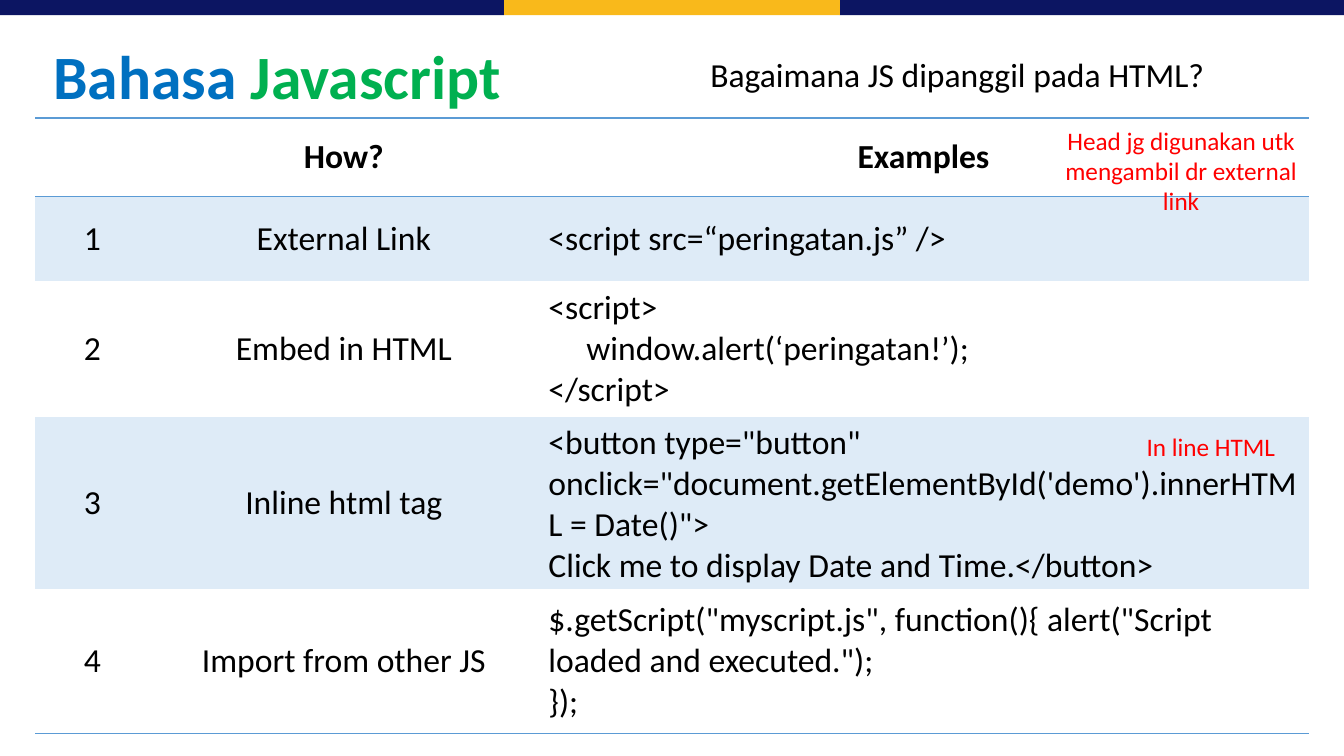
from lxml import etree
from pptx import Presentation
from pptx.dml.color import RGBColor
from pptx.enum.shapes import MSO_SHAPE
from pptx.enum.text import MSO_ANCHOR, MSO_AUTO_SIZE, PP_ALIGN
from pptx.oxml.ns import qn
from pptx.util import Inches, Pt

RECTANGLE = MSO_SHAPE.RECTANGLE
LEFT, CENTER = PP_ALIGN.LEFT, PP_ALIGN.CENTER
MIDDLE = MSO_ANCHOR.MIDDLE
GROW = MSO_AUTO_SIZE.SHAPE_TO_FIT_TEXT

WIDTH, HEIGHT = 13.33, 7.5
FONT = "Calibri"
NAVY, GOLD, BLACK, RED = "0C1562", "F9B91B", "000000", "FF0000"
BLUE, GREEN, RULE, BAND = "0070C0", "00B050", "5B9BD5", "DEEBF7"
NO_STYLE = "{2D5ABB26-0587-4C30-8999-92F81FD0307C}"

COLUMNS = [1.13, 3.86, 7.64]
ROWS = [0.78, 0.84, 1.35, 1.7, 1.44]
METHODS = [
    ("", "How?", "Examples"),
    ("1", "External Link", "<script src=“peringatan.js” />"),
    ("2", "Embed in HTML",
     "<script>\n     window.alert(‘peringatan!’);\n</script>"),
    ("3", "Inline html tag",
     "<button type=\"button\"\n"
     "onclick=\"document.getElementById('demo').innerHTML = Date()\">\n"
     "Click me to display Date and Time.</button>"),
    ("4", "Import from other JS",
     "$.getScript(\"myscript.js\", function(){ alert(\"Script loaded and executed.\");\n});"),
]


def color(value):
    return RGBColor.from_string(value)


def write(frame, text, size=24, fill=BLACK, bold=False, align=LEFT):
    """Write each line as a paragraph; text may be a list of (words, colour)."""
    lines = [[(line, fill)] for line in text.split("\n")] if isinstance(text, str) else [text]
    for index, spans in enumerate(lines):
        para = frame.add_paragraph() if index else frame.paragraphs[0]
        para.alignment = align
        para.font.size = Pt(size)
        for words, shade in spans:
            span = para.add_run()
            span.text = words
            span.font.name = FONT
            span.font.size = Pt(size)
            span.font.bold = bold
            span.font.color.rgb = color(shade)


def add_text(page, box, text, wrap=True, **style):
    frame = page.shapes.add_textbox(*map(Inches, box)).text_frame
    frame.word_wrap = wrap
    frame.auto_size = GROW
    write(frame, text, **style)


def add_top_band(page, left, top, width, height):
    shares = [(0, 3 / 8, NAVY), (5 / 8, 3 / 8, NAVY), (3 / 8, 1 / 4, GOLD)]
    for start, share, fill in shares:
        box = (left + start * width, top, share * width, height)
        bar = page.shapes.add_shape(RECTANGLE, *map(Inches, box))
        bar.shadow.inherit = False
        bar.fill.solid()
        bar.fill.fore_color.rgb = color(fill)
        bar.line.fill.background()


def add_border(cell, side):
    """Rule one side of a cell; call before the cell gets its fill."""
    border = etree.SubElement(cell._tc.get_or_add_tcPr(), qn(f"a:ln{side}"), w=str(Pt(1)))
    solid = etree.SubElement(border, qn("a:solidFill"))
    etree.SubElement(solid, qn("a:srgbClr"), val=RULE)


def add_methods_table(page, left, top):
    box = (left, top, sum(COLUMNS), sum(ROWS))
    table = page.shapes.add_table(len(ROWS), len(COLUMNS), *map(Inches, box)).table
    table._tbl.tblPr.find(qn("a:tableStyleId")).text = NO_STYLE
    table.horz_banding = False
    for column, width in zip(table.columns, COLUMNS):
        column.width = Inches(width)
    for row, height in zip(table.rows, ROWS):
        row.height = Inches(height)
    for row, texts in enumerate(METHODS):
        header = row == 0
        sides = "TB" if header else "B" if row == len(ROWS) - 1 else ""
        for column, text in enumerate(texts):
            cell = table.cell(row, column)
            cell.vertical_anchor = MIDDLE
            example = column == 2 and not header
            write(cell.text_frame, text, bold=header, align=LEFT if example else CENTER)
            for side in sides:
                add_border(cell, side)
            if row % 2:
                cell.fill.solid()
                cell.fill.fore_color.rgb = color(BAND)
            else:
                cell.fill.background()


def add_heading(page, left, top):
    add_text(page, (left, top, 4.87, 0.84), [("Bahasa ", BLUE), ("Javascript", GREEN)],
             wrap=False, size=44, bold=True)
    add_text(page, (left + 5.48, top + 0.16, 7.17, 0.5),
             "Bagaimana JS dipanggil pada HTML?", align=CENTER)


def add_notes_on_table(page, left, top):
    notes = [
        ((left + 10.77, top + 3.06, 1.78, 0.4), "In line HTML"),
        ((left + 10, top + 0.02, 2.73, 1.01),
         "Head jg digunakan utk mengambil dr external link"),
    ]
    for box, text in notes:
        add_text(page, box, text, size=18, fill=RED, align=CENTER)


def main():
    deck = Presentation()
    deck.slide_width, deck.slide_height = Inches(WIDTH), Inches(HEIGHT)
    page = deck.slides.add_slide(deck.slide_layouts[6])
    add_top_band(page, 0, 0, WIDTH, HEIGHT / 50)
    add_heading(page, 0.43, 0.33)
    add_methods_table(page, 0.35, 1.17)
    add_notes_on_table(page, 0.35, 1.17)
    deck.save("out.pptx")


if __name__ == "__main__":
    main()
